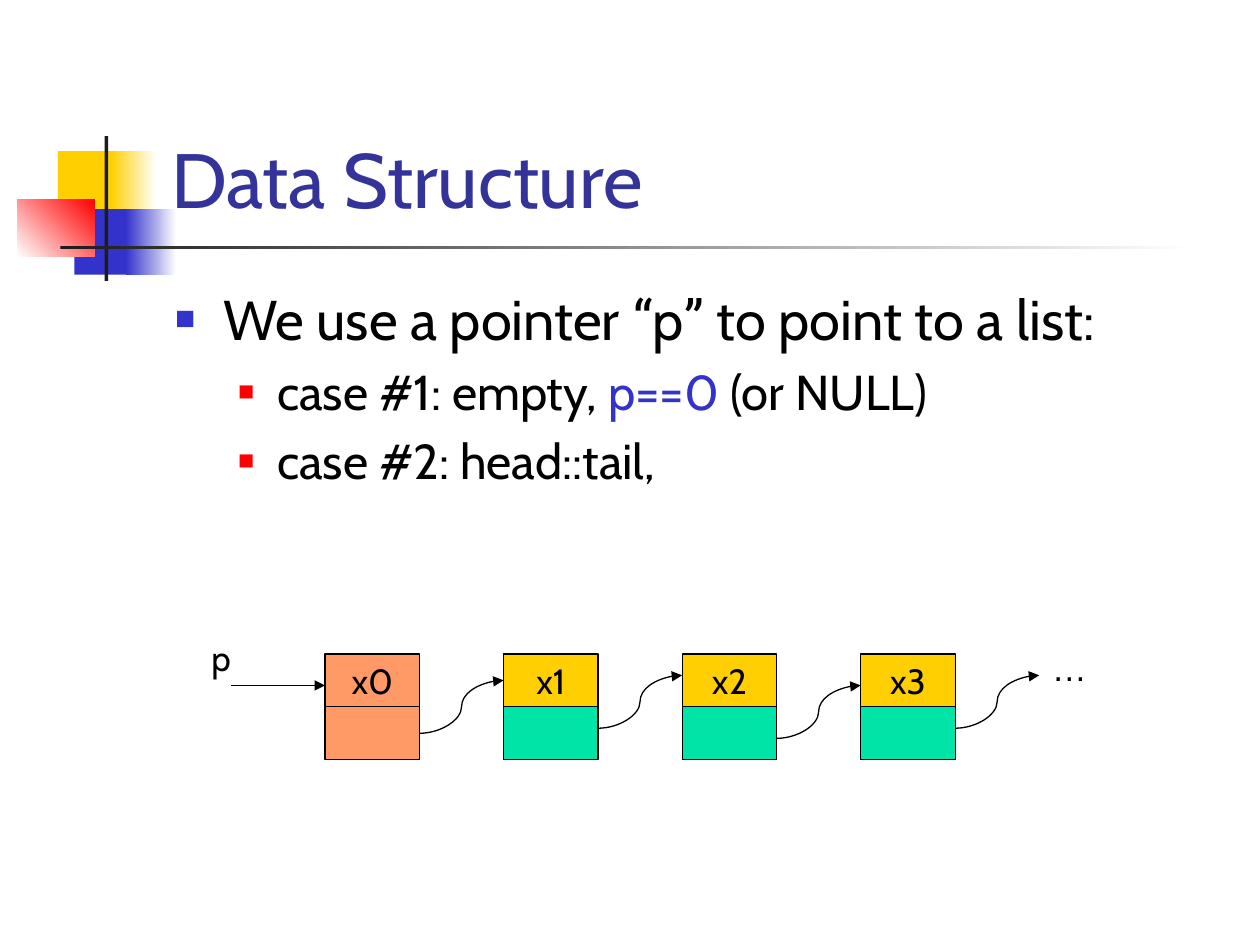
"""Build the slide that shows a linked list reached through a pointer."""
from lxml.etree import SubElement
from pptx import Presentation
from pptx.dml.color import RGBColor
from pptx.enum.shapes import MSO_CONNECTOR, MSO_SHAPE
from pptx.enum.text import MSO_ANCHOR, MSO_AUTO_SIZE, PP_ALIGN
from pptx.oxml.ns import qn
from pptx.util import Inches, Pt

BLACK, WHITE, DARK = "000000", "FFFFFF", "1C1C1C"
BLUE, RED, YELLOW = "3333CC", "FF0000", "FFCF01"
ORANGE, GREEN = "FF9966", "00E4A8"

DECORATION = [
    ((0.46, 1.2, 0.48, 0.52), (YELLOW,), 0),
    ((0.88, 1.2, 0.36, 0.52), (YELLOW, WHITE), 0),
    ((0.59, 1.66, 0.46, 0.52), (BLUE,), 0),
    ((1, 1.66, 0.4, 0.52), (BLUE, WHITE), 0),
    ((0.14, 1.58, 0.61, 0.46), (WHITE, RED), 45),
    ((0.83, 1.08, 0.03, 1.15), (DARK,), 0),
    ((0.48, 1.95, 9, 0.03), (DARK, WHITE), 0),
]
TITLE = "Data Structure"
BODY = [
    (0, [("We use a pointer ", "Cabin", BLACK), ("“", "Roboto", BLACK), ("p", "Cabin", BLACK),
         ("”", "Roboto", BLACK), (" to point to a list:", "Cabin", BLACK)]),
    (1, [("case #1: empty, ", "Cabin", BLACK), ("p==0", "Cabin", BLUE),
         (" (or NULL)", "Cabin", BLACK)]),
    (1, [("case #2: head::tail,", "Cabin", BLACK)]),
]
LEVELS = [
    {"size": 32, "margin": 0.38, "indent": -0.38, "color": BLUE, "percent": 60},
    {"size": 28, "margin": 0.81, "indent": -0.31, "color": RED, "percent": 55},
]
NODES = [
    ("x0", ORANGE, ORANGE, 5.82),
    ("x1", YELLOW, GREEN, 5.78),
    ("x2", YELLOW, GREEN, 5.86),
    ("x3", YELLOW, GREEN, 5.78),
]
NODE_LEFT, NODE_TOP, NODE_STEP = 2.58, 5.19, 1.417
CELL_WIDTH, CELL_HEIGHT = 0.75, 0.42
LABELS = [("p", "Cabin", (1.58, 5, 0.35, 0.43), False),
          ("…", "Arial", (8.25, 5.08, 0.75, 0.43), True)]


def rgb(color):
    """Turn a hex string into a colour."""
    return RGBColor.from_string(color)


def add_run(paragraph, text, font, size, color):
    """Add one formatted run."""
    run = paragraph.add_run()
    run.text = text
    run.font.name = font
    run.font.size = Pt(size)
    run.font.color.rgb = rgb(color)


def add_rectangle(slide, box, colors, angle=0, line=None):
    """Add a rectangle with a plain or two-colour gradient fill."""
    shape = slide.shapes.add_shape(MSO_SHAPE.RECTANGLE, *map(Inches, box))
    shape.shadow.inherit = False
    if len(colors) == 1:
        shape.fill.solid()
        shape.fill.fore_color.rgb = rgb(colors[0])
    else:
        shape.fill.gradient()
        shape.fill.gradient_angle = angle
        for stop, color, position in zip(shape.fill.gradient_stops, colors, (0, 1)):
            stop.color.rgb = rgb(color)
            stop.position = position
    if line:
        shape.line.color.rgb = rgb(line)
        shape.line.width = Pt(0.75)
    else:
        shape.line.fill.background()
    return shape


def add_arrow(slide, kind, start, end):
    """Add a thin black connector with a triangle at its end."""
    connector = slide.shapes.add_connector(kind, *map(Inches, start + end))
    connector.line.color.rgb = rgb(BLACK)
    connector.line.width = Pt(0.75)
    properties = connector.line._get_or_add_ln()
    SubElement(properties, qn("a:tailEnd"), type="triangle")
    SubElement(connector._element.spPr, qn("a:effectLst"))


def place(placeholder, box, anchor):
    """Move a placeholder and return its text frame."""
    placeholder.left, placeholder.top, placeholder.width, placeholder.height = map(Inches, box)
    frame = placeholder.text_frame
    frame.auto_size = MSO_AUTO_SIZE.NONE
    frame.vertical_anchor = anchor
    return frame


def add_bullet(paragraph, level):
    """Give a paragraph its indent and square bullet."""
    properties = paragraph._p.get_or_add_pPr()
    properties.set("marL", str(Inches(level["margin"])))
    properties.set("indent", str(Inches(level["indent"])))
    color = SubElement(properties, qn("a:buClr"))
    SubElement(color, qn("a:srgbClr"), val=level["color"])
    SubElement(properties, qn("a:buSzPct"), val=str(level["percent"] * 1000))
    SubElement(properties, qn("a:buFont"), typeface="Arial")
    SubElement(properties, qn("a:buChar"), char="■")


def fill_text(slide):
    """Write the title and the bulleted list."""
    frame = place(slide.shapes.title, (1.26, 0.23, 8.52, 1.6), MSO_ANCHOR.BOTTOM)
    frame.paragraphs[0].alignment = PP_ALIGN.LEFT
    add_run(frame.paragraphs[0], TITLE, "Cabin", 44, "333399")

    frame = place(slide.placeholders[1], (1.29, 2.21, 8.5, 4.5), MSO_ANCHOR.TOP)
    for index, (depth, runs) in enumerate(BODY):
        paragraph = frame.add_paragraph() if index else frame.paragraphs[0]
        paragraph.level = depth
        add_bullet(paragraph, LEVELS[depth])
        if index == 0:
            paragraph.space_before = Pt(0)
        for text, font, color in runs:
            add_run(paragraph, text, font, LEVELS[depth]["size"], color)


def draw_list(slide):
    """Draw the nodes, the arrows between them and the two labels."""
    for index, (name, head_color, tail_color, arrow_top) in enumerate(NODES):
        left = NODE_LEFT + index * NODE_STEP
        right = left + CELL_WIDTH
        head = add_rectangle(slide, (left, NODE_TOP, CELL_WIDTH, CELL_HEIGHT),
                             (head_color,), line=BLACK)
        frame = head.text_frame
        frame.word_wrap = False
        frame.vertical_anchor = MSO_ANCHOR.MIDDLE
        frame.paragraphs[0].alignment = PP_ALIGN.CENTER
        add_run(frame.paragraphs[0], name, "Cabin", 20, BLACK)
        add_rectangle(slide, (left, NODE_TOP + CELL_HEIGHT, CELL_WIDTH, CELL_HEIGHT),
                      (tail_color,), line=BLACK)
        add_arrow(slide, MSO_CONNECTOR.CURVE, (right, arrow_top),
                  (left + NODE_STEP, arrow_top - CELL_HEIGHT))
    add_arrow(slide, MSO_CONNECTOR.STRAIGHT, (NODE_LEFT - 0.75, 5.44), (NODE_LEFT, 5.44))
    for text, font, box, wrap in LABELS:
        frame = slide.shapes.add_textbox(*map(Inches, box)).text_frame
        frame.word_wrap = wrap
        frame.auto_size = MSO_AUTO_SIZE.SHAPE_TO_FIT_TEXT
        add_run(frame.paragraphs[0], text, font, 20, BLACK)


def main():
    """Build and save the presentation."""
    presentation = Presentation()
    presentation.slide_width, presentation.slide_height = Inches(10), Inches(7.5)
    slide = presentation.slides.add_slide(presentation.slide_layouts[1])
    for box, colors, angle in DECORATION:
        add_rectangle(slide, box, colors, angle)
    fill_text(slide)
    draw_list(slide)
    presentation.save("out.pptx")


if __name__ == "__main__":
    main()
